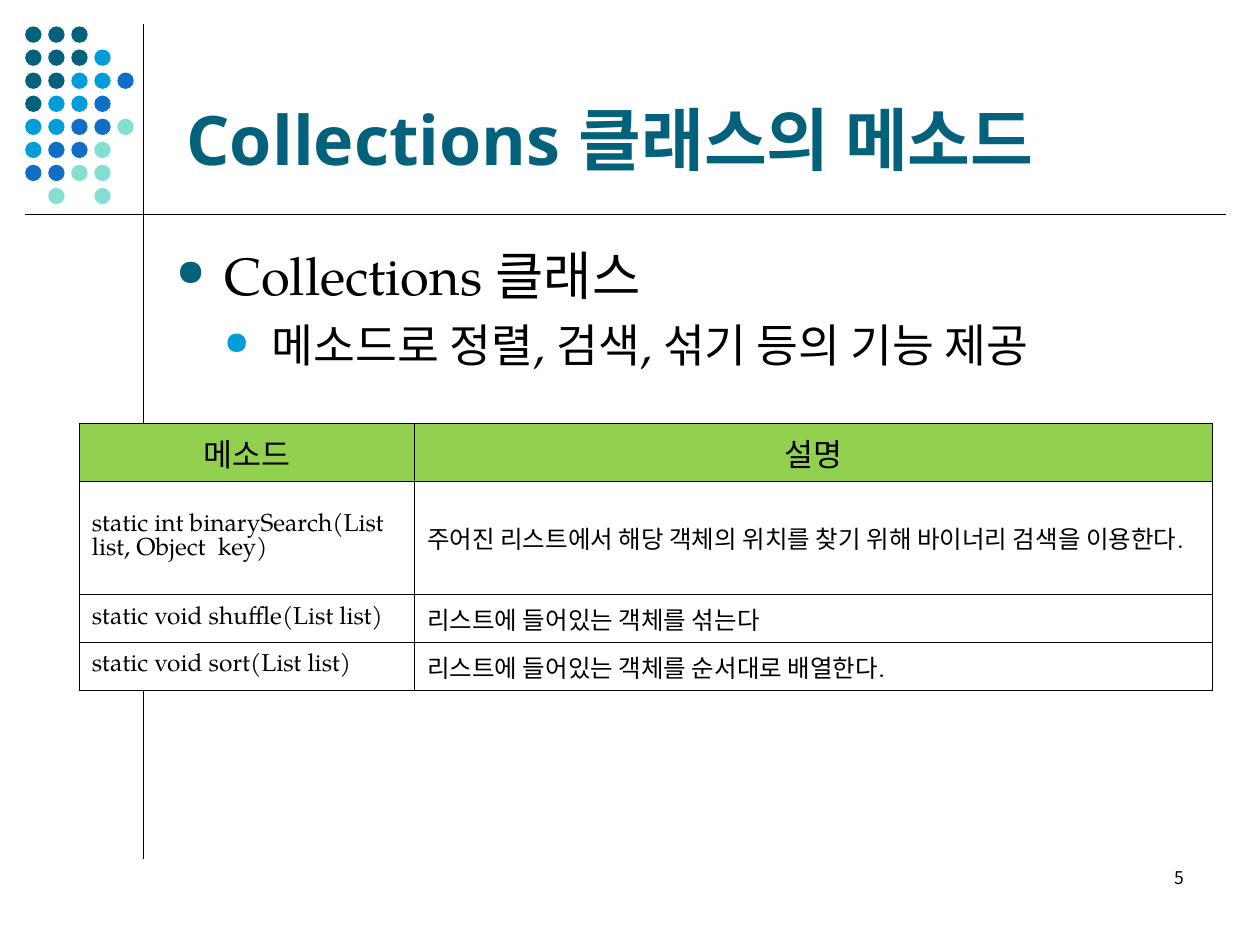
from lxml.etree import SubElement
from pptx import Presentation
from pptx.dml.color import RGBColor
from pptx.enum.shapes import MSO_CONNECTOR, MSO_SHAPE
from pptx.enum.text import MSO_ANCHOR, PP_ALIGN
from pptx.oxml.ns import qn
from pptx.util import Inches, Pt

COLORS = {
    "teal": "04617B",
    "sky": "009DD9",
    "blue": "0F6FC6",
    "mint": "85DFD0",
    "green": "92D050",
    "black": "000000",
    "white": "FFFFFF",
}
SERIF, SANS, KOREAN = "TeX Gyre Pagella", "Open Sans", "Noto Sans CJK KR"

DOT_COLORS = {"T": "teal", "S": "sky", "B": "blue", "M": "mint"}
DOT_ROWS = ["TTT", "TTTS", "TTSSB", "TSSB", "SSBBM", "SBBM", "BBMM", " M M"]

BULLETS = [
    ("Collections 클래스", 30, 7.5, 0.38, "teal"),
    ("메소드로 정렬, 검색, 섞기 등의 기능 제공", 26, 6.5, 0.76, "sky"),
]
METHODS = [
    ("메소드", "설명"),
    ("static int binarySearch(List list, Object  key)",
     "주어진 리스트에서 해당 객체의 위치를 찾기 위해 바이너리 검색을 이용한다."),
    ("static void shuffle(List list)", "리스트에 들어있는 객체를 섞는다"),
    ("static void sort(List list)", "리스트에 들어있는 객체를 순서대로 배열한다."),
]
COLUMN_WIDTHS = [2.66, 6.33]
ROW_HEIGHTS = [0.46, 0.9, 0.38, 0.38]


def rgb(name):
    return RGBColor.from_string(COLORS[name])


def format_text(para, size, font=SERIF, color="black", bold=False):
    for span in para.runs:
        span.font.size = Pt(size)
        span.font.name = font
        span.font.bold = bold
        span.font.color.rgb = rgb(color)
        SubElement(span.font._element, qn("a:ea"), typeface=KOREAN)


def add_rule(page, x1, y1, x2, y2):
    rule = page.shapes.add_connector(
        MSO_CONNECTOR.STRAIGHT, Inches(x1), Inches(y1), Inches(x2), Inches(y2))
    rule.line.color.rgb = rgb("black")
    rule.line.width = Pt(0.75)
    SubElement(rule._element.spPr, qn("a:effectLst"))


def add_dots(page, left, top, pitch, size):
    for row, codes in enumerate(DOT_ROWS):
        for column, code in enumerate(codes):
            if code == " ":
                continue
            dot = page.shapes.add_shape(
                MSO_SHAPE.OVAL, Inches(left + column * pitch),
                Inches(top + row * pitch), Inches(size), Inches(size))
            dot.shadow.inherit = False
            dot.fill.solid()
            dot.fill.fore_color.rgb = rgb(DOT_COLORS[code])
            dot.line.fill.background()


def place_title(page, left, top, width, height):
    title = page.shapes.title
    title.left, title.top = Inches(left), Inches(top)
    title.width, title.height = Inches(width), Inches(height)
    frame = title.text_frame
    frame.text = "Collections 클래스의 메소드"
    frame.word_wrap = True
    frame.vertical_anchor = MSO_ANCHOR.BOTTOM
    para = frame.paragraphs[0]
    para.alignment = PP_ALIGN.LEFT
    format_text(para, 39, SANS, "teal", True)


def set_bullet(para, indent, color):
    props = para._p.get_or_add_pPr()
    props.set("marL", str(Inches(indent)))
    props.set("indent", str(Inches(-0.38)))
    bullet_color = SubElement(props, qn("a:buClr"))
    SubElement(bullet_color, qn("a:srgbClr"), val=COLORS[color])
    SubElement(props, qn("a:buSzPct"), val="70000")
    SubElement(props, qn("a:buChar"), char="●")


def add_body(page, left, top, width, height):
    box = page.shapes.add_textbox(
        Inches(left), Inches(top), Inches(width), Inches(height))
    frame = box.text_frame
    frame.word_wrap = True
    frame.text = "\n".join(bullet[0] for bullet in BULLETS)
    for level, (para, bullet) in enumerate(zip(frame.paragraphs, BULLETS)):
        _, size, space, indent, color = bullet
        para.level = level
        para.space_before = Pt(space)
        set_bullet(para, indent, color)
        format_text(para, size)


def add_page_number(page, left, top, width, height):
    box = page.shapes.add_textbox(
        Inches(left), Inches(top), Inches(width), Inches(height))
    box.text_frame.word_wrap = True
    box.text_frame.text = "5"
    para = box.text_frame.paragraphs[0]
    para.alignment = PP_ALIGN.RIGHT
    format_text(para, 10, KOREAN)


def set_borders(cell):
    props = cell._tc.get_or_add_tcPr()
    for index, side in enumerate(["lnL", "lnR", "lnT", "lnB"]):
        border = SubElement(props, qn(f"a:{side}"), w=str(Pt(0.45)))
        fill = SubElement(border, qn("a:solidFill"))
        SubElement(fill, qn("a:srgbClr"), val=COLORS["black"])
        props.insert(index, border)


def add_method_table(page, left, top, width, height):
    table = page.shapes.add_table(
        len(METHODS), len(COLUMN_WIDTHS), Inches(left), Inches(top),
        Inches(width), Inches(height)).table
    for column, column_width in zip(table.columns, COLUMN_WIDTHS):
        column.width = Inches(column_width)
    for index, (row, texts) in enumerate(zip(table.rows, METHODS)):
        row.height = Inches(ROW_HEIGHTS[index])
        header = index == 0
        for cell, text in zip(row.cells, texts):
            cell.text = text
            cell.vertical_anchor = MSO_ANCHOR.MIDDLE
            cell.fill.solid()
            cell.fill.fore_color.rgb = rgb("green" if header else "white")
            set_borders(cell)
            para = cell.text_frame.paragraphs[0]
            para.alignment = PP_ALIGN.CENTER if header else PP_ALIGN.LEFT
            format_text(para, 18 if header else 14)


def main():
    deck = Presentation()
    deck.slide_width, deck.slide_height = Inches(10), Inches(7.5)
    page = deck.slides.add_slide(deck.slide_layouts[5])
    add_rule(page, 1.14, 0.19, 1.14, 6.82)
    add_dots(page, 0.2, 0.21, 0.183, 0.13)
    add_rule(page, 0.2, 1.7, 9.73, 1.7)
    place_title(page, 1.38, 0.21, 8.25, 1.26)
    add_body(page, 1.3, 1.88, 8.2, 4.82)
    add_page_number(page, 7.17, 6.83, 2.33, 0.5)
    add_method_table(page, 0.63, 3.36, sum(COLUMN_WIDTHS), sum(ROW_HEIGHTS))
    deck.save("out.pptx")


if __name__ == "__main__":
    main()
